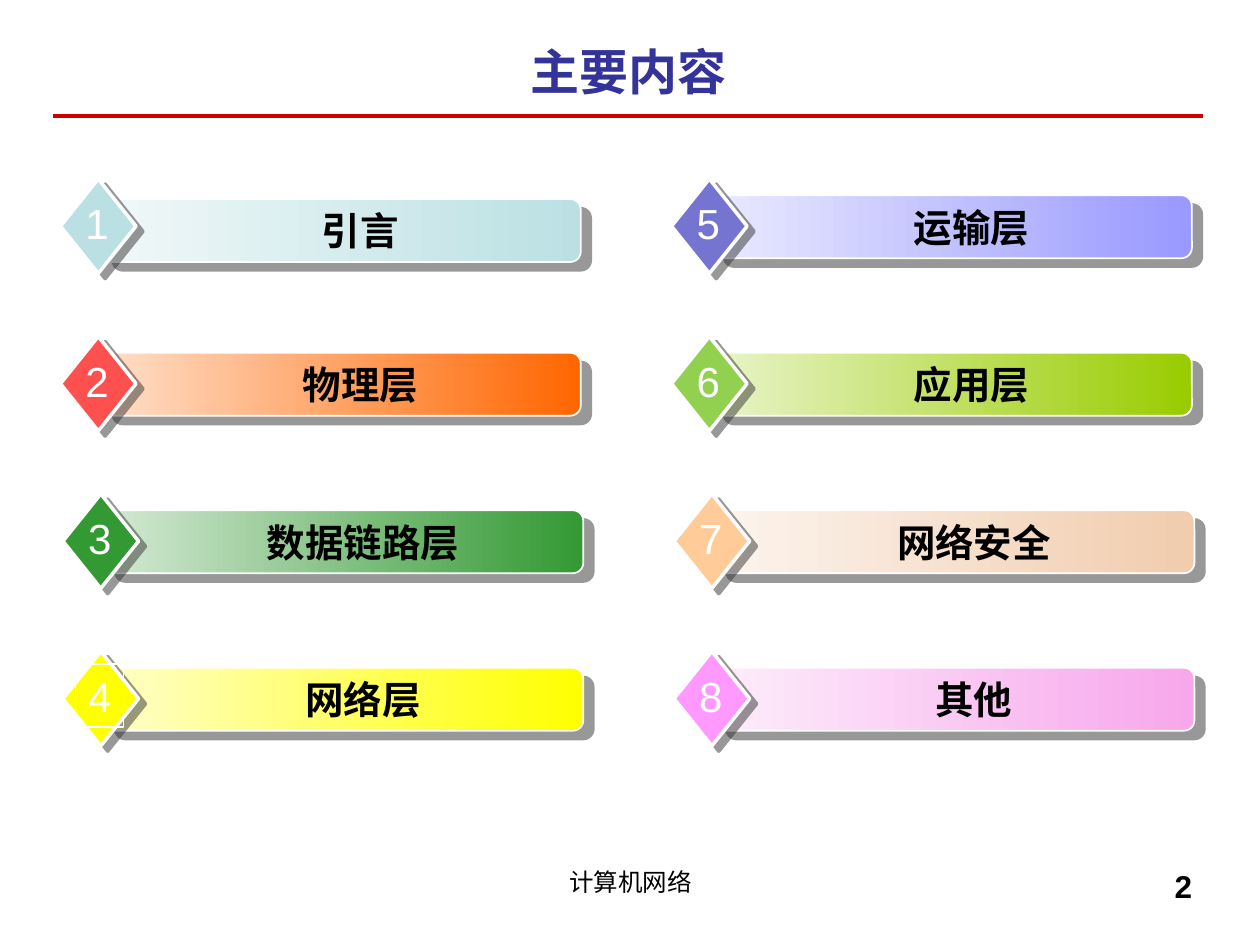
from lxml import etree
from pptx import Presentation
from pptx.dml.color import RGBColor
from pptx.enum.shapes import MSO_CONNECTOR, MSO_SHAPE
from pptx.enum.text import MSO_ANCHOR, PP_ALIGN
from pptx.oxml.ns import qn
from pptx.util import Inches, Pt

CENTER, RIGHT = PP_ALIGN.CENTER, PP_ALIGN.RIGHT
TOP, MIDDLE = MSO_ANCHOR.TOP, MSO_ANCHOR.MIDDLE
ROUNDED, DIAMOND = MSO_SHAPE.ROUNDED_RECTANGLE, MSO_SHAPE.DIAMOND
STRAIGHT = MSO_CONNECTOR.STRAIGHT

TITLE = "主要内容"
FOOTER = "计算机网络"
PAGE_NUMBER = "2"
# label, diamond colour, bar start colour, bar end colour
CHAPTERS = [
    ("引言", "BBE0E3", "F1F8F9", "BBE0E3"),
    ("物理层", "FF5050", "FFDFC9", "FF6600"),
    ("数据链路层", "339933", "D4E9D4", "339933"),
    ("网络层", "FFFF00", "FFFFC9", "FFFF00"),
    ("运输层", "7575D1", "E9E9FF", "9999FF"),
    ("应用层", "92D050", "E9F4C9", "99CC00"),
    ("网络安全", "FFCC99", "FCF4EE", "F1CCAD"),
    ("其他", "FF99FF", "FDECFB", "F7A7EC"),
]
ROWS = 4
LEFT, FIRST_TOP = 0.48, 1.42
COLUMN_STEP, ROW_STEP = 4.85, 1.25
LOWER_ROWS_SHIFT = 0.02
BAR_NUDGES = {1: 0.03}
OUTLINED_NUMBER = 4


def color(hex_value):
    """Turn a hex string into a colour."""
    return RGBColor.from_string(hex_value)


def add_shadow(shape, distance, angle):
    """Give a shape a hard, half-transparent grey shadow."""
    shape.shadow.inherit = False
    effects = shape._element.spPr.find(qn("a:effectLst"))
    shadow = etree.SubElement(
        effects, qn("a:outerShdw"), blurRad="0", dist=str(Pt(distance)),
        dir=str(angle * 60000), algn="ctr", rotWithShape="0")
    tint = etree.SubElement(shadow, qn("a:srgbClr"), val="333333")
    etree.SubElement(tint, qn("a:alpha"), val="50000")


def write_text(shape, text, size, font, hex_value, bold=False, align=CENTER,
               anchor=TOP, margins=(0.05, 0.05), wrap=True):
    """Fill a shape with one formatted paragraph."""
    frame = shape.text_frame
    frame.word_wrap = wrap
    frame.vertical_anchor = anchor
    frame.margin_left = frame.margin_right = Inches(0.1)
    frame.margin_top, frame.margin_bottom = map(Inches, margins)
    paragraph = frame.paragraphs[0]
    paragraph.text = text
    paragraph.alignment = align
    paragraph.font.size = Pt(size)
    paragraph.font.name = font
    paragraph.font.bold = bold
    paragraph.font.color.rgb = color(hex_value)


def add_text(shapes, box, *args, **options):
    """Add a text box and write its text."""
    shape = shapes.add_textbox(*map(Inches, box))
    write_text(shape, *args, **options)
    return shape


def add_outlined(shapes, preset, box, line_width):
    """Add a preset shape with a white outline."""
    shape = shapes.add_shape(preset, *map(Inches, box))
    shape.line.color.rgb = color("FFFFFF")
    shape.line.width = Pt(line_width)
    return shape


def add_chapter(slide, number, label, diamond_color, start_color, end_color):
    """Add one grouped chapter entry at its place in the grid."""
    column, row = divmod(number - 1, ROWS)
    left = LEFT + column * COLUMN_STEP + (LOWER_ROWS_SHIFT if row >= 2 else 0)
    top = FIRST_TOP + row * ROW_STEP
    bar_left = left + 0.33
    bar_top = top + 0.13 + BAR_NUDGES.get(number, 0)
    shapes = slide.shapes.add_group_shape().shapes

    bar = add_outlined(shapes, ROUNDED, (bar_left, bar_top, 3.8, 0.5), 1)
    bar.adjustments[0] = 0.167
    bar.fill.gradient()
    bar.fill.gradient_angle = 0
    for stop, hex_value in zip(bar.fill.gradient_stops, (start_color, end_color)):
        stop.color.rgb = color(hex_value)
    add_shadow(bar, 7.8, 40)

    diamond = add_outlined(shapes, DIAMOND, (left, top, 0.6, 0.75), 2)
    diamond.fill.solid()
    diamond.fill.fore_color.rgb = color(diamond_color)
    add_shadow(diamond, 5, 37)

    add_text(shapes, (bar_left + 0.3, bar_top, 3.5, 0.5), label, 22,
             "Noto Sans CJK SC", "000000", bold=True, anchor=MIDDLE, margins=(0, 0))
    number_box = add_text(shapes, (left + 0.1, top + 0.1, 0.38, 0.5), str(number),
                          24, "Arial", "FFFFFF", wrap=False)
    if number == OUTLINED_NUMBER:
        number_box.line.color.rgb = color("FFFFFF")
        number_box.line.width = Pt(0.75)


def main():
    """Build and save the slide."""
    presentation = Presentation()
    presentation.slide_width, presentation.slide_height = Inches(10), Inches(7.5)
    slide = presentation.slides.add_slide(presentation.slide_layouts[5])

    rule = slide.shapes.add_connector(
        STRAIGHT, *map(Inches, (0.42, 0.92, 9.55, 0.92)))
    rule.line.color.rgb = color("CC0000")
    rule.line.width = Pt(2)
    etree.SubElement(rule._element.spPr, qn("a:effectLst"))

    title = slide.shapes.title
    title.left, title.top, title.width, title.height = map(
        Inches, (0.42, 0.25, 9.13, 0.67))
    write_text(title, TITLE, 28, "Times New Roman", "333399", bold=True,
               anchor=MIDDLE, margins=(0, 0.05))

    add_text(slide.shapes, (3.42, 6.83, 3.17, 0.52), FOOTER, 14, "Arial", "000000")
    add_text(slide.shapes, (7.23, 6.83, 2.33, 0.52), PAGE_NUMBER, 18, "Arial",
             "000000", bold=True, align=RIGHT)
    for number, chapter in enumerate(CHAPTERS, 1):
        add_chapter(slide, number, *chapter)
    presentation.save("out.pptx")


if __name__ == "__main__":
    main()
